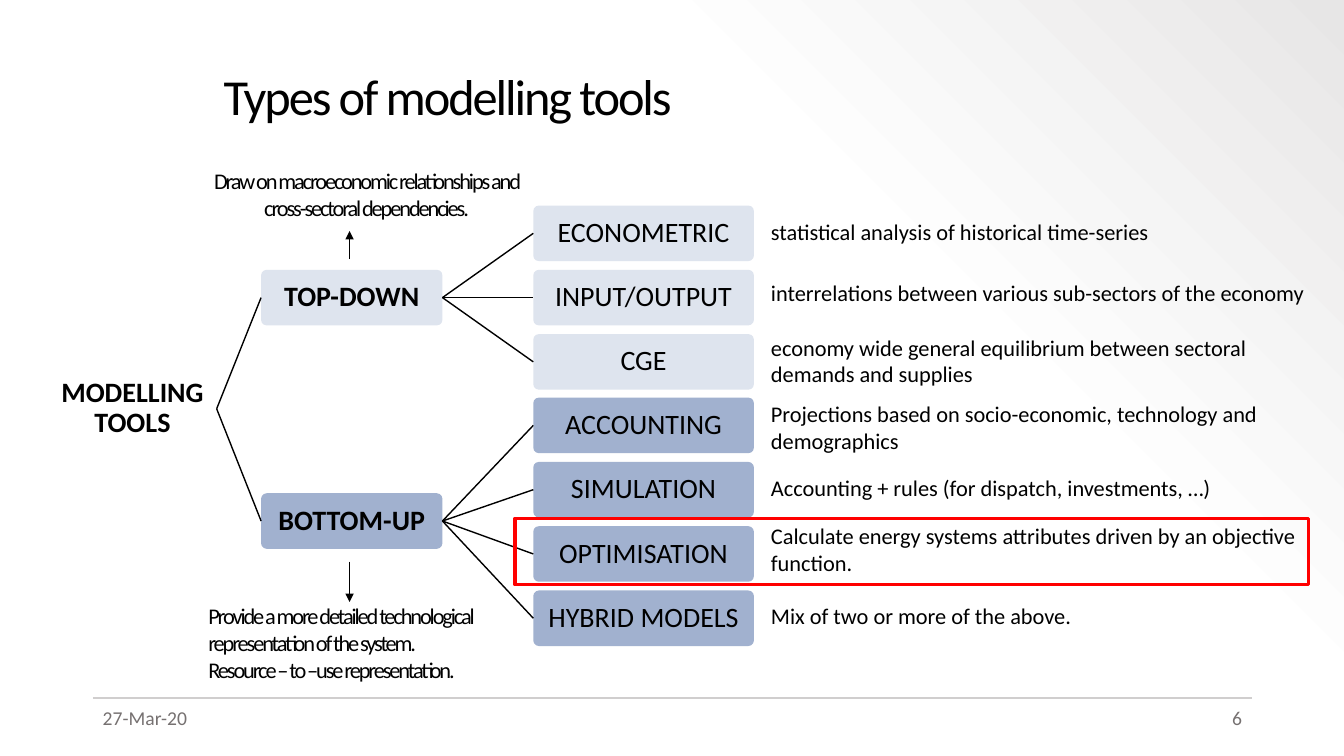
import pptx
import pptx.dml.color
import pptx.enum.shapes
import pptx.enum.text
import pptx.oxml
import pptx.oxml.ns
import pptx.util
from pptx.util import Cm

RGBColor = pptx.dml.color.RGBColor
ALIGN = pptx.enum.text.PP_ALIGN
ANCHOR = pptx.enum.text.MSO_ANCHOR
SHAPE = pptx.enum.shapes.MSO_SHAPE

BLACK = RGBColor(0x00, 0x00, 0x00)
WHITE = RGBColor(0xFF, 0xFF, 0xFF)
RED = RGBColor(0xFF, 0x00, 0x00)
PALE_BLUE = RGBColor(0xDE, 0xE4, 0xEE)
MID_BLUE = RGBColor(0xA1, 0xB1, 0xCF)
RULE_GREY = RGBColor(0xD0, 0xCE, 0xCE)
FOOTER_GREY = RGBColor(0x76, 0x71, 0x71)

LINE_HEIGHT = 0.68
LEAF_PITCH = 1.62

# Branch: name, fill, top, top of its first leaf, leaf names; tops are from the tree's top
BRANCHES = [
    ("TOP-DOWN", PALE_BLUE, 1.62, 0, ["ECONOMETRIC", "INPUT/OUTPUT", "CGE"]),
    ("BOTTOM-UP", MID_BLUE, 7.25, 4.84,
     ["ACCOUNTING", "SIMULATION", "OPTIMISATION", "HYBRID MODELS"]),
]

# Description: top from the tree's top, number of lines, wording
DESCRIPTIONS = [
    (0.31, 1, "statistical analysis of historical time-series"),
    (1.85, 1, "interrelations between various sub-sectors of the economy"),
    (3.23, 2, "economy wide general equilibrium between sectoral demands and supplies"),
    (4.9, 2, "Projections based on socio-economic, technology and demographics"),
    (6.76, 1, "Accounting + rules (for dispatch, investments, …)"),
    (7.98, 2, "Calculate energy systems attributes driven by an objective function."),
    (9.98, 1, "Mix of two or more of the above."),
]


def format_text(frame, size, color=BLACK, align=ALIGN.LEFT, bold=False,
                line_spacing=None, tight=False):
    frame.word_wrap = True
    for para in frame.paragraphs:
        para.alignment = align
        if line_spacing:
            para.line_spacing = line_spacing
        for span in para.runs:
            span.font.name = "Calibri"
            span.font.size = pptx.util.Pt(size)
            span.font.bold = bold
            span.font.color.rgb = color
            if tight:
                span.font._element.set("spc", "-150")


def add_text(page, left, top, width, height, text, size=16, inset=0, **style):
    box = page.shapes.add_textbox(Cm(left), Cm(top), Cm(width), Cm(height))
    frame = box.text_frame
    frame.text = text
    frame.margin_top = frame.margin_bottom = Cm(inset)
    format_text(frame, size, **style)


def add_line(page, start, end, color=BLACK, weight=1, arrow=False):
    line = page.shapes.add_connector(
        pptx.enum.shapes.MSO_CONNECTOR.STRAIGHT,
        Cm(start[0]), Cm(start[1]), Cm(end[0]), Cm(end[1]))
    line.line.color.rgb = color
    line.line.width = pptx.util.Pt(weight)
    if arrow:
        tail = pptx.oxml.parse_xml(
            f'<a:tailEnd {pptx.oxml.ns.nsdecls("a")} type="triangle"/>')
        line.line._get_or_add_ln().append(tail)
    line._element.spPr.append(
        pptx.oxml.parse_xml(f'<a:effectLst {pptx.oxml.ns.nsdecls("a")}/>'))
    return line


def add_node(page, left, top, width, height, text, fill, bold):
    node = page.shapes.add_shape(
        SHAPE.ROUNDED_RECTANGLE, Cm(left), Cm(top), Cm(width), Cm(height))
    node.adjustments[0] = 0.1
    node.shadow.inherit = False
    node.fill.solid()
    node.fill.fore_color.rgb = fill
    node.line.fill.background()
    frame = node.text_frame
    frame.text = text
    frame.margin_left = frame.margin_right = Cm(0.05)
    frame.margin_top = frame.margin_bottom = Cm(0.05)
    frame.vertical_anchor = ANCHOR.MIDDLE
    format_text(frame, 20, align=ALIGN.CENTER, bold=bold, line_spacing=0.9)
    return node


def link_nodes(page, parent, child):
    """Join the right side of the parent to the left side of the child."""
    link = add_line(page, (0, 0), (0, 0))
    link.begin_connect(parent, 3)
    link.end_connect(child, 1)


def paint_background(page):
    """Fade from white at bottom left to light grey at top right."""
    page.background.fill.gradient()
    gradient = page.background._cSld.bg.bgPr.find(pptx.oxml.ns.qn("a:gradFill"))
    page.background._cSld.bg.bgPr.replace(gradient, pptx.oxml.parse_xml(
        f'<a:gradFill {pptx.oxml.ns.nsdecls("a")} rotWithShape="1"><a:gsLst>'
        '<a:gs pos="0"><a:srgbClr val="FFFFFF"/></a:gs>'
        '<a:gs pos="69000"><a:srgbClr val="FDFDFD"/></a:gs>'
        '<a:gs pos="100000"><a:srgbClr val="E7E6E6"><a:alpha val="50000"/>'
        '</a:srgbClr></a:gs></a:gsLst><a:lin ang="18900000" scaled="0"/></a:gradFill>'))


def place_title(page, left, top, width, height):
    title = page.shapes.title
    title.left, title.top, title.width, title.height = map(
        Cm, (left, top, width, height))
    frame = title.text_frame
    frame.text = "Types of modelling tools"
    frame.auto_size = pptx.enum.text.MSO_AUTO_SIZE.NONE
    frame.vertical_anchor = ANCHOR.MIDDLE
    format_text(frame, 36, line_spacing=0.9, tight=True)


def draw_tree(page, left, top):
    root = add_node(page, left, top + 4.17, 4.24, 1.9, "MODELLING TOOLS", WHITE, True)
    for name, fill, branch_top, leaf_top, leaves in BRANCHES:
        branch = add_node(page, left + 5.36, top + branch_top, 4.57, 1.4,
                          name, fill, True)
        link_nodes(page, root, branch)
        for index, leaf_name in enumerate(leaves):
            leaf = add_node(page, left + 12.22, top + leaf_top + index * LEAF_PITCH,
                            5.56, 1.4, leaf_name, fill, False)
            link_nodes(page, branch, leaf)


def draw_branch_notes(page, left, top):
    arrow_x = left + 3.81
    add_text(page, left, top, 8.48, 2 * LINE_HEIGHT,
             "Draw on macroeconomic relationships and cross-sectoral dependencies.",
             align=ALIGN.CENTER, tight=True)
    add_line(page, (arrow_x, top + 2.31), (arrow_x, top + 1.6), weight=0.5, arrow=True)
    add_line(page, (arrow_x, top + 9.93), (arrow_x, top + 10.95), weight=0.5, arrow=True)
    add_text(page, left, top + 10.95, 7.75, 3 * LINE_HEIGHT,
             "Provide a more detailed technological representation of the system.\n"
             "Resource – to –use representation.", tight=True)


def write_descriptions(page, left, top, width):
    for offset, lines, text in DESCRIPTIONS:
        add_text(page, left, top + offset, width, lines * LINE_HEIGHT, text)


def draw_highlight(page, left, top, width, height):
    frame = page.shapes.add_shape(
        SHAPE.RECTANGLE, Cm(left), Cm(top), Cm(width), Cm(height))
    frame.shadow.inherit = False
    frame.fill.background()
    frame.line.color.rgb = RED
    frame.line.width = pptx.util.Pt(2.25)


def draw_footer(page, left, top, width):
    add_line(page, (left, top), (left + width, top), RULE_GREY, 1.5)
    for text, offset, align in (("27-Mar-20", 0, ALIGN.LEFT),
                                ("6", width - 7.62, ALIGN.RIGHT)):
        add_text(page, left + offset, top + 0.08, 7.62, 1.02, text, size=14,
                 inset=0.13, color=FOOTER_GREY, align=align)


def main():
    deck = pptx.Presentation()
    deck.slide_width, deck.slide_height = Cm(33.87), Cm(19.05)
    page = deck.slides.add_slide(deck.slide_layouts[5])
    paint_background(page)
    place_title(page, 5.38, 0.94, 26.16, 3.1)
    draw_tree(page, 1.22, 5.18)
    draw_branch_notes(page, 5, 4.22)
    write_descriptions(page, 19.18, 5.18, 14.25)
    draw_highlight(page, 12.98, 13.06, 19.99, 1.68)
    draw_footer(page, 2.34, 17.58, 29.21)
    deck.save("out.pptx")


if __name__ == "__main__":
    main()
